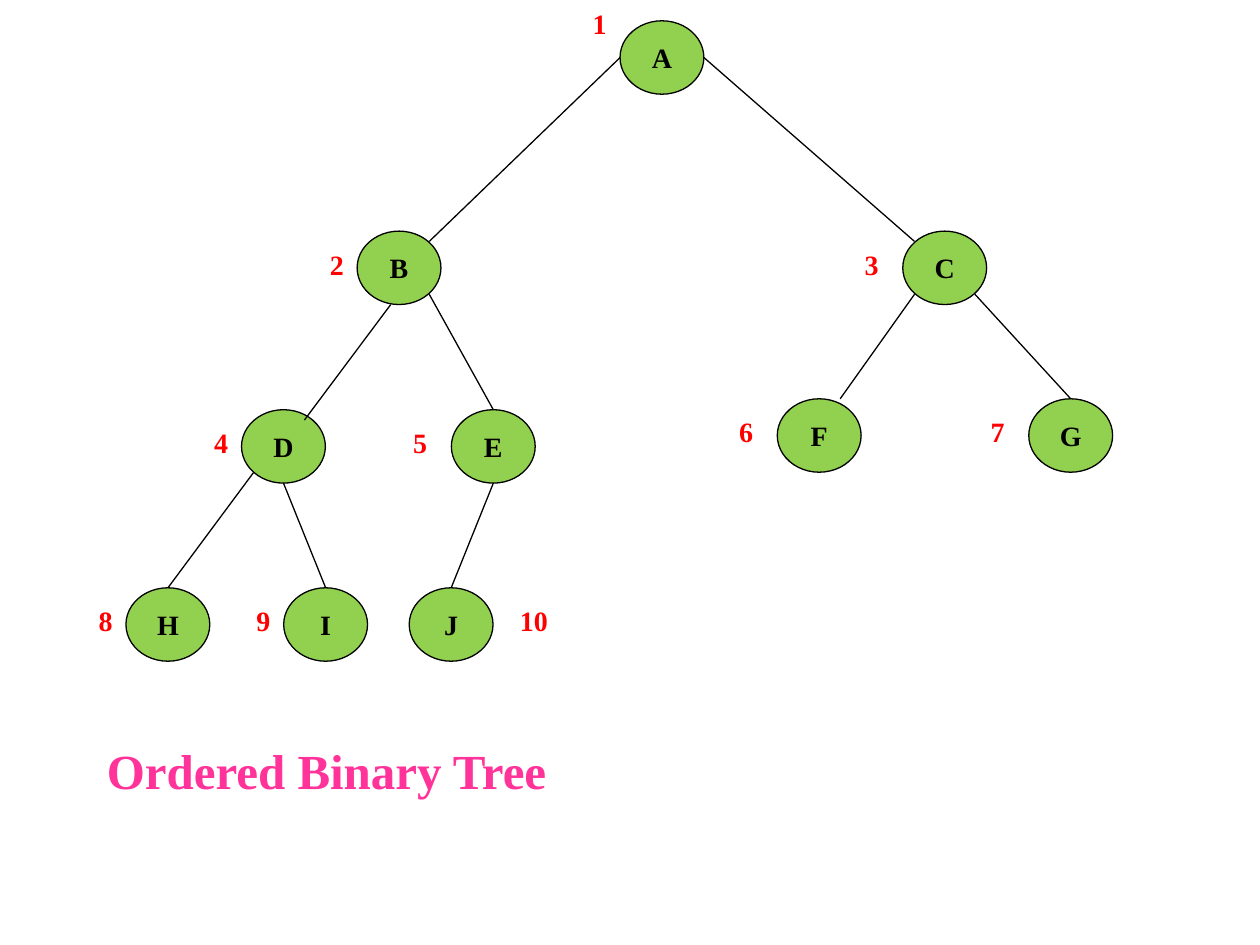
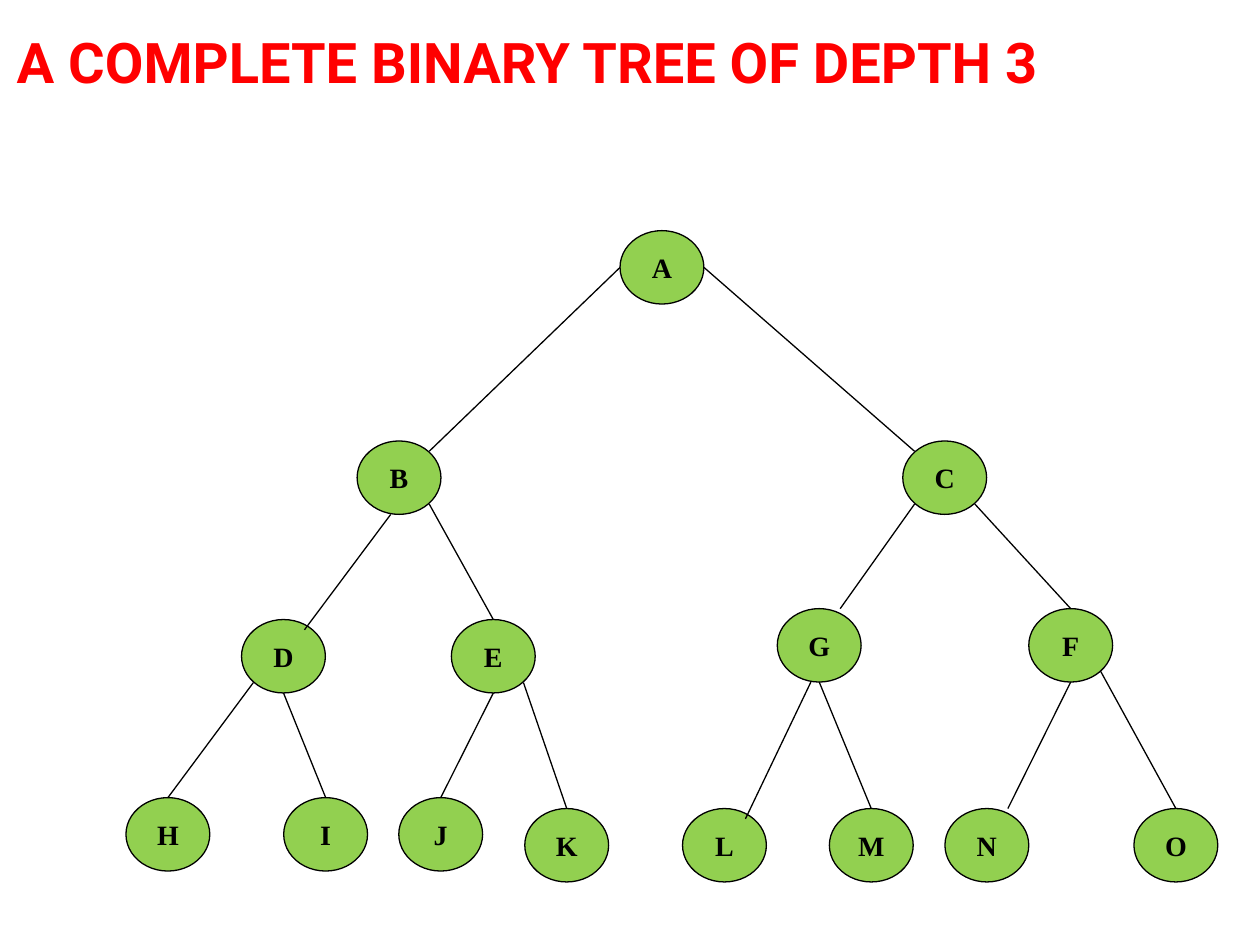
"""Build two slides of binary trees, with nodes numbered level by level."""
import dataclasses

import pptx
import pptx.dml.color
import pptx.enum.shapes
import pptx.enum.text
import pptx.util
from lxml import etree

Cm, Pt = pptx.util.Cm, pptx.util.Pt
RGB = pptx.dml.color.RGBColor.from_string


@dataclasses.dataclass(frozen=True)
class Theme:
    """Colours, fonts and type sizes shared by the slides."""
    node_fill: str = "92D050"
    ink: str = "000000"
    red: str = "FF0000"
    pink: str = "FF3399"
    serif: str = "Times New Roman"
    sans: str = "Roboto"
    node_size: int = 16
    caption_size: int = 28
    heading_size: int = 32
    line_width: float = 0.75


THEME = Theme()
NODE_W, NODE_H = 1.69, 1.48

POSITIONS = {
    1: (12.5, 0.42),
    2: (7.2, 4.66), 3: (18.2, 4.66),
    4: (4.87, 8.26), 5: (9.1, 8.26), 6: (15.67, 8.04), 7: (20.74, 8.04),
    8: (2.54, 11.85), 9: (5.72, 11.85), 10: (8.25, 11.85), 11: (10.58, 12.07),
    12: (13.76, 12.07), 13: (16.72, 12.07), 14: (19.05, 12.07), 15: (22.86, 12.07),
}

ANCHORS = {
    "left": (0, 0.5), "right": (1, 0.5), "top": (0.5, 0), "bottom": (0.5, 1),
    "top left": (0.14, 0.14), "top right": (0.86, 0.14),
    "bottom left": (0.14, 0.86), "bottom right": (0.86, 0.86),
    "near bottom": (0.4, 1), "near top": (0.75, 0), "inside top": (0.75, 0.14),
}

EDGES = {
    2: ("left", "top right"), 3: ("right", "top left"),
    4: ("near bottom", "inside top"), 5: ("bottom right", "top"),
    6: ("bottom left", "near top"), 7: ("bottom right", "top"),
    8: ("bottom left", "top"), 9: ("bottom", "top"),
    10: ("bottom", "top"), 11: ("bottom right", "top"),
    12: ("near bottom", "inside top"), 13: ("bottom", "top"),
    14: ("bottom", "near top"), 15: ("bottom right", "top"),
}

LABEL_SHIFT = (-0.8, 0.2)
LABEL_SHIFTS = {1: (-0.8, -0.42), 10: (1.98, 0.2),
                **{n: (-1.02, 0.2) for n in (3, 5, 6, 7)}}

SLIDES = [
    dict(title="Ordered Binary Tree", box=(1.9, 14.81, 22.43, 3.25),
         font=(THEME.serif, THEME.caption_size, THEME.pink),
         names="ABCDEFGHIJ", drop=0, moved={}, numbered=True),
    dict(title="A COMPLETE BINARY TREE OF DEPTH 3", box=(0.08, 0.43, 23.27, 1.63),
         font=(THEME.sans, THEME.heading_size, THEME.red),
         names="ABCDEGFHIJKLMNO", drop=4.23, moved={10: (8.04, 11.85)}, numbered=False),
]


def write(tf, text, font, align, wrap, anchor):
    """Fill a text frame with one bold run."""
    tf.word_wrap = wrap
    tf.auto_size = pptx.enum.text.MSO_AUTO_SIZE.NONE
    tf.vertical_anchor = anchor
    p = tf.paragraphs[0]
    p.alignment = align
    r = p.add_run()
    r.text = text
    r.font.name, r.font.size, r.font.bold = font[0], Pt(font[1]), True
    r.font.color.rgb = RGB(font[2])


def set_line(sp):
    """Give a shape or connector the thin dark line."""
    sp.line.color.rgb = RGB(THEME.ink)
    sp.line.width = Pt(THEME.line_width)


def add_title(s, text, box, font):
    """Place and format the slide title."""
    sp = s.shapes.title
    sp.left, sp.top, sp.width, sp.height = map(Cm, box)
    write(sp.text_frame, text, font, pptx.enum.text.PP_ALIGN.LEFT, True,
          pptx.enum.text.MSO_ANCHOR.TOP)


def add_node(s, name, x, y):
    """Draw one named tree node."""
    sp = s.shapes.add_shape(pptx.enum.shapes.MSO_SHAPE.OVAL,
                            Cm(x), Cm(y), Cm(NODE_W), Cm(NODE_H))
    sp.shadow.inherit = False
    sp.fill.solid()
    sp.fill.fore_color.rgb = RGB(THEME.node_fill)
    set_line(sp)
    write(sp.text_frame, name, (THEME.serif, THEME.node_size, THEME.ink),
          pptx.enum.text.PP_ALIGN.CENTER, False, pptx.enum.text.MSO_ANCHOR.MIDDLE)


def add_edge(s, parent, child, ends):
    """Join a parent node to its child."""
    points = []
    for (x, y), end in zip((parent, child), ends):
        fx, fy = ANCHORS[end]
        points += [Cm(x + fx * NODE_W), Cm(y + fy * NODE_H)]
    line = s.shapes.add_connector(pptx.enum.shapes.MSO_CONNECTOR.STRAIGHT, *points)
    set_line(line)
    sp_pr = line._element.spPr
    etree.SubElement(sp_pr, pptx.oxml.ns.qn("a:effectLst"))


def add_number(s, n, x, y):
    """Write the number of a node beside it."""
    dx, dy = LABEL_SHIFTS.get(n, LABEL_SHIFT)
    width = 0.79 if n < 10 else 1.07
    sp = s.shapes.add_textbox(Cm(x + dx), Cm(y + dy), Cm(width), Cm(0.94))
    write(sp.text_frame, str(n), (THEME.serif, THEME.node_size, THEME.red),
          pptx.enum.text.PP_ALIGN.LEFT, False, pptx.enum.text.MSO_ANCHOR.TOP)


def add_tree(s, names, drop, moved, numbered):
    """Draw a tree in which node n hangs from node n // 2."""
    places = {n: (x, y + drop) for n, (x, y) in {**POSITIONS, **moved}.items()}
    for n, name in enumerate(names, 1):
        add_node(s, name, *places[n])
    for n in range(2, len(names) + 1):
        add_edge(s, places[n // 2], places[n], EDGES[n])
    if numbered:
        for n in range(1, len(names) + 1):
            add_number(s, n, *places[n])


def main():
    """Build and save the presentation."""
    prs = pptx.Presentation()
    prs.slide_width, prs.slide_height = Cm(25.4), Cm(19.05)
    title_only = prs.slide_layouts[5]
    for item in SLIDES:
        s = prs.slides.add_slide(title_only)
        add_title(s, item["title"], item["box"], item["font"])
        add_tree(s, item["names"], item["drop"], item["moved"], item["numbered"])
    prs.save("out.pptx")


if __name__ == "__main__":
    main()
